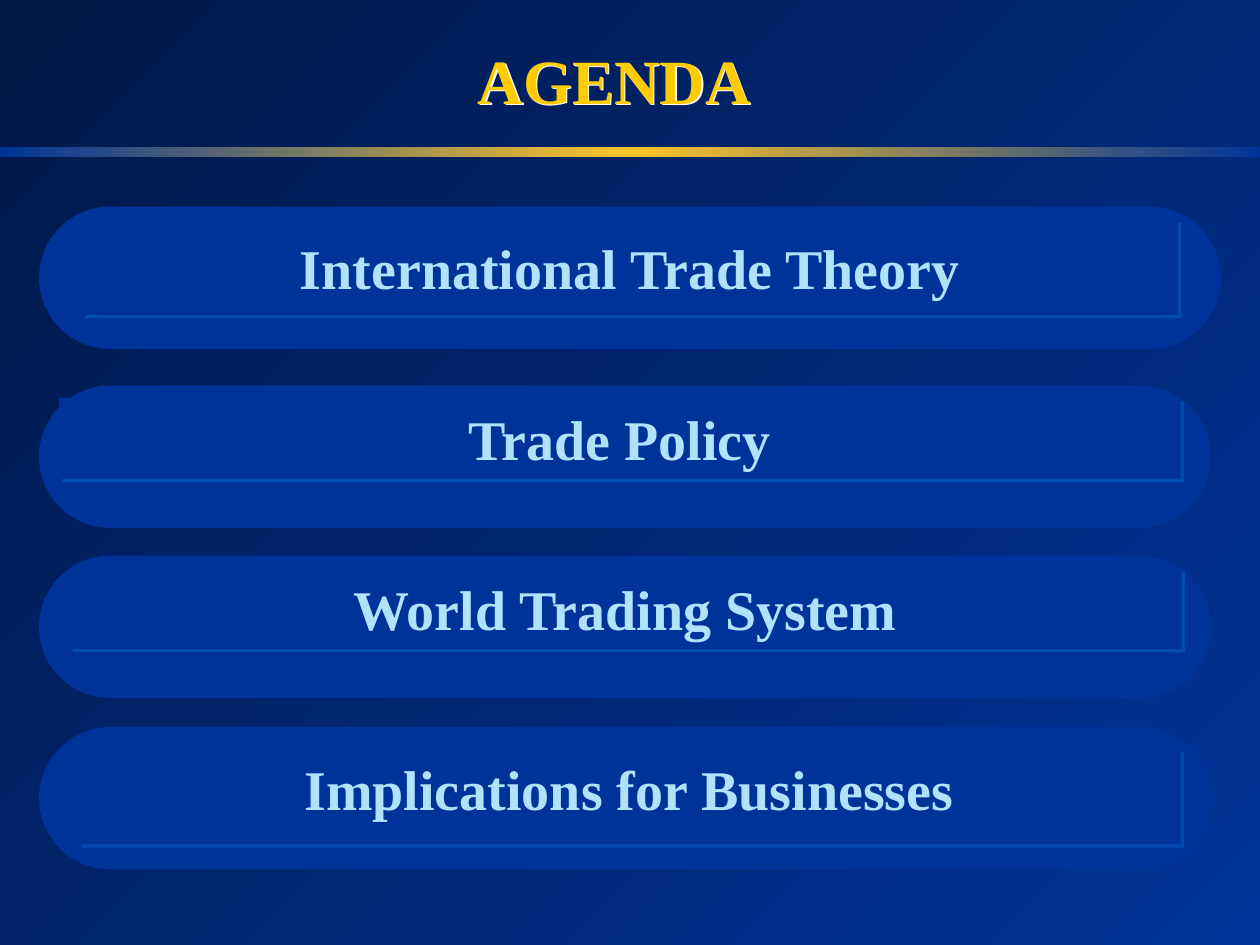
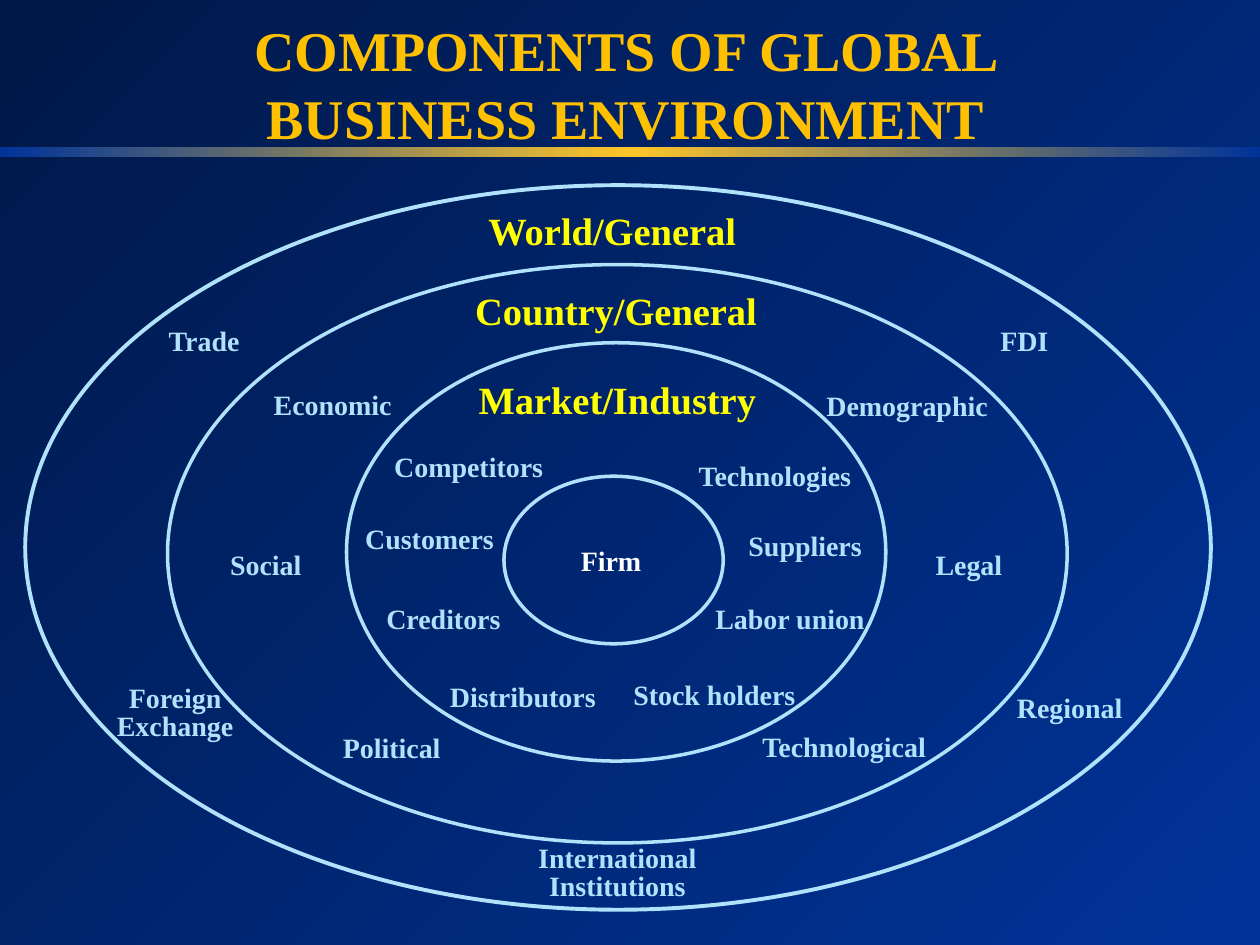
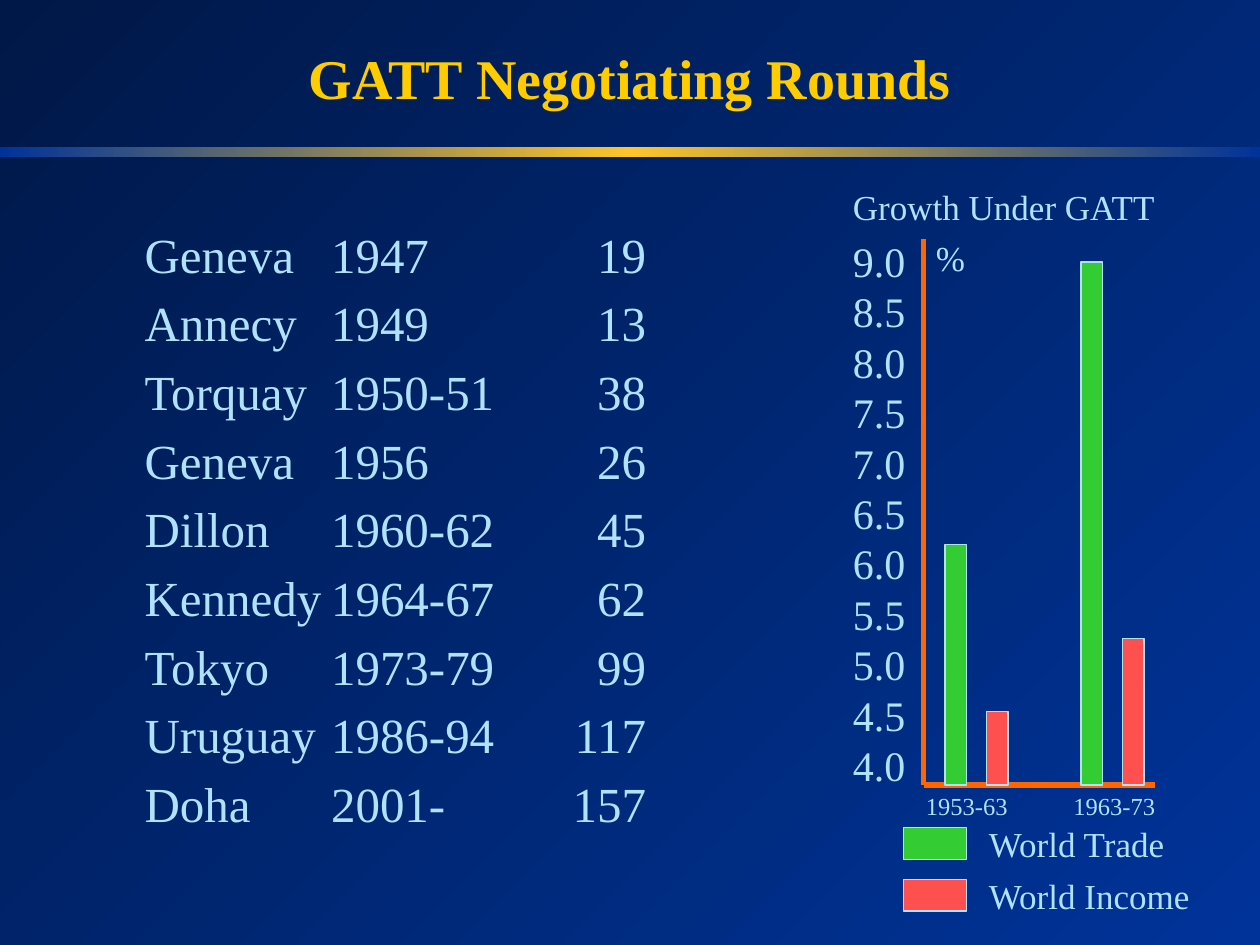
from copy import deepcopy
from dataclasses import dataclass

from lxml import etree
from pptx import Presentation
from pptx.dml.color import RGBColor
from pptx.enum.shapes import MSO_CONNECTOR, MSO_SHAPE
from pptx.enum.text import MSO_ANCHOR, PP_ALIGN
from pptx.oxml import parse_xml
from pptx.oxml.ns import nsdecls, qn
from pptx.util import Inches, Pt

LEFT, CENTER = PP_ALIGN.LEFT, PP_ALIGN.CENTER
TOP, MIDDLE = MSO_ANCHOR.TOP, MSO_ANCHOR.MIDDLE
RECTANGLE, PILL, OVAL = MSO_SHAPE.RECTANGLE, MSO_SHAPE.ROUNDED_RECTANGLE, MSO_SHAPE.OVAL
STRAIGHT = MSO_CONNECTOR.STRAIGHT


@dataclass(frozen=True)
class Theme:
    font: str = "Times New Roman"
    navy: str = "001847"
    blue: str = "003399"
    gold: str = "FDC529"
    title: str = "FFCC00"
    amber: str = "FFC000"
    pale: str = "B1E2FB"
    yellow: str = "FFFF00"
    white: str = "FFFFFF"
    shadow: str = "0066CC"
    axis: str = "FF6600"
    trade: str = "33CC33"
    income: str = "FF5050"
    heading_size: int = 36
    title_size: int = 32
    body_size: int = 28
    scale_size: int = 24
    ring_size: int = 22
    caption_size: int = 20
    label_size: int = 16
    period_size: int = 14


THEME = Theme()


def rgb(color):
    return RGBColor.from_string(color)


def add_shadow(shape, color, opacity, distance):
    properties = shape.element.spPr
    effects = properties.find(qn("a:effectLst"))
    if effects is None:
        effects = etree.SubElement(properties, qn("a:effectLst"))
    effects.append(parse_xml(
        f'<a:outerShdw {nsdecls("a")} blurRad="0" dist="{Pt(distance)}" dir="2700000" '
        f'algn="ctr" rotWithShape="0"><a:srgbClr val="{color}">'
        f'<a:alpha val="{opacity * 1000}"/></a:srgbClr></a:outerShdw>'))


def set_gradient(fill, element, angle, colors):
    fill.gradient()
    fill.gradient_angle = angle
    stop_list = element.find(".//" + qn("a:gsLst"))
    for _ in colors[2:]:
        stop_list.append(deepcopy(stop_list[0]))
    for index, (stop, color) in enumerate(zip(fill.gradient_stops, colors)):
        stop.color.rgb = rgb(color)
        stop.position = index / (len(colors) - 1)


def add_tabs(paragraph, tabs):
    tab_list = etree.SubElement(paragraph._p.get_or_add_pPr(), qn("a:tabLst"))
    for position, alignment in tabs:
        etree.SubElement(tab_list, qn("a:tab"), pos=str(Inches(position)), algn=alignment)


def write_text(shape, text, size=THEME.label_size, color=THEME.pale, bold=False,
               align=LEFT, anchor=TOP, gap=0, line_height=None, tabs=()):
    frame = shape.text_frame
    frame.word_wrap = True
    frame.vertical_anchor = anchor
    for index, line in enumerate(text.split("\n")):
        paragraph = frame.add_paragraph() if index else frame.paragraphs[0]
        if tabs:
            add_tabs(paragraph, tabs)
        paragraph.alignment = align
        if index:
            paragraph.space_before = Pt(gap)
        if line_height:
            paragraph.line_spacing = Pt(line_height)
        run = paragraph.add_run()
        run.text = line
        run.font.name = THEME.font
        run.font.size = Pt(size)
        run.font.bold = bold
        run.font.color.rgb = rgb(color)


class Deck:
    def __init__(self, theme):
        self.theme = theme
        self.presentation = Presentation()
        self.presentation.slide_width = Inches(10)
        self.presentation.slide_height = Inches(7.5)
        self.slide = None
        master = self.presentation.slide_master
        set_gradient(master.background.fill, master.element, 315, [theme.navy, theme.blue])

    def new_slide(self):
        theme = self.theme
        self.slide = self.presentation.slides.add_slide(self.presentation.slide_layouts[6])
        band = self.shape(RECTANGLE, 0, 1.17, 10, 0.08)
        set_gradient(band.fill, band.element, 0, [theme.blue, theme.gold, theme.blue])

    def shape(self, kind, left, top, width, height, fill=None, line=None, line_width=0.75):
        shape = self.slide.shapes.add_shape(
            kind, Inches(left), Inches(top), Inches(width), Inches(height))
        shape.shadow.inherit = False
        if fill:
            shape.fill.solid()
            shape.fill.fore_color.rgb = rgb(fill)
        else:
            shape.fill.background()
        if line:
            shape.line.color.rgb = rgb(line)
            shape.line.width = Pt(line_width)
        else:
            shape.line.fill.background()
        return shape

    def line(self, start_x, start_y, end_x, end_y, color, width):
        connector = self.slide.shapes.add_connector(
            STRAIGHT, Inches(start_x), Inches(start_y), Inches(end_x), Inches(end_y))
        connector.line.color.rgb = rgb(color)
        connector.line.width = Pt(width)
        etree.SubElement(connector.element.spPr, qn("a:effectLst"))

    def text(self, text, left, top, width, height, **style):
        box = self.slide.shapes.add_textbox(
            Inches(left), Inches(top), Inches(width), Inches(height))
        write_text(box, text, **style)
        return box

    def title(self, text, left, top, width, height, **style):
        style = {"size": self.theme.title_size, "color": self.theme.title,
                 "anchor": MIDDLE, **style}
        return self.text(text, left, top, width, height, bold=True, align=CENTER, **style)

    def label(self, text, center_x, center_y, **style):
        width, height = 3, 0.48
        self.text(text, center_x - width / 2, center_y - height / 2, width, height,
                  bold=True, align=CENTER, anchor=MIDDLE, **style)

    def agenda_item(self, text, pill, panel, anchor):
        theme = self.theme
        self.shape(PILL, *pill, fill=theme.blue).adjustments[0] = 0.5
        plate = self.shape(RECTANGLE, *panel, fill=theme.blue)
        add_shadow(plate, theme.shadow, 50, 2.8)
        write_text(plate, text, size=theme.title_size, bold=True, align=CENTER, anchor=anchor)


def build_agenda(deck):
    deck.new_slide()
    heading = deck.title("AGENDA", 3.35, 0.28, 3.05, 0.7, size=THEME.heading_size, anchor=TOP)
    add_shadow(heading, THEME.white, 100, 1.2)
    items = [
        ("International Trade Theory", 1.64, 9.38, (0.65, 1.74, 8.7, 0.76), MIDDLE),
        ("Trade Policy", 3.06, 9.3, (0.47, 3.16, 8.9, 0.64), MIDDLE),
        ("World Trading System", 4.41, 9.3, (0.55, 4.51, 8.83, 0.64), MIDDLE),
        ("Implications for Businesses", 5.77, 9.3, (0.62, 5.94, 8.75, 0.76), TOP),
    ]
    for text, top, width, panel, anchor in items:
        deck.agenda_item(text, (0.31, top, width, 1.13), panel, anchor)


def build_environment(deck):
    deck.new_slide()
    deck.title("COMPONENTS OF GLOBAL BUSINESS ENVIRONMENT", 0.84, 0.35, 8.25, 0.62,
               color=THEME.amber)
    rings = [
        (0.2, 1.47, 9.41, 5.75, 2.25),
        (1.33, 2.1, 7.14, 4.59, 2),
        (2.75, 2.72, 4.28, 3.32, 2),
        (4, 3.78, 1.74, 1.33, 2),
    ]
    for *place, line_width in rings:
        deck.shape(OVAL, *place, line=THEME.pale, line_width=line_width)
    ring_names = [
        ("World/General", 4.86, 1.83),
        ("Country/General", 4.89, 2.46),
        ("Market/Industry", 4.9, 3.17),
    ]
    for text, x, y in ring_names:
        deck.label(text, x, y, size=THEME.ring_size, color=THEME.yellow)
    deck.label("Firm", 4.85, 4.45, color=THEME.white)
    factors = [
        ("Trade", 1.62, 2.7), ("FDI", 8.13, 2.7), ("Regional", 8.49, 5.61),
        ("Economic", 2.64, 3.21), ("Demographic", 7.2, 3.22),
        ("Social", 2.11, 4.48), ("Legal", 7.69, 4.48),
        ("Political", 3.11, 5.93), ("Technological", 6.7, 5.92),
        ("Competitors", 3.72, 3.7), ("Technologies", 6.15, 3.77),
        ("Customers", 3.41, 4.27), ("Suppliers", 6.39, 4.33),
        ("Creditors", 3.52, 4.91), ("Labor union", 6.27, 4.91),
        ("Distributors", 4.15, 5.53), ("Stock holders", 5.67, 5.51),
    ]
    for text, x, y in factors:
        deck.label(text, x, y)
    for text, x, y in [("Foreign\nExchange", 1.39, 5.72),
                       ("International\nInstitutions", 4.9, 6.99)]:
        deck.label(text, x, y, gap=8, line_height=8)


def build_growth_chart(deck):
    axis_x, axis_top, axis_right, base = 7.33, 1.9, 9.17, 6.23
    lowest, inches_per_point, bar_width, bar_step = 4, 0.83, 0.17, 0.33
    caption = {"size": THEME.caption_size}
    deck.text("Growth Under GATT", 6.67, 1.42, 2.92, 0.43, **caption)
    deck.text("%", axis_x, 1.83, 0.5, 0.43, **caption)
    scale = " ".join(f"{9 - step / 2:.1f}" for step in range(11))
    deck.text(scale, 6.67, 1.82, 0.67, 4.54, size=THEME.scale_size)
    deck.line(axis_x, axis_top, axis_x, base, THEME.axis, 3)
    deck.line(axis_x, base, axis_right, base, THEME.axis, 3)

    periods = [("1953-63", 7.25, 7.5), ("1963-73", 8.42, 8.58)]
    series = [
        ("World Trade", (6.3, 9.0), THEME.trade),
        ("World Income", (4.7, 5.4), THEME.income),
    ]
    for period, label_left, _ in periods:
        deck.text(period, label_left, base, 1.08, 0.33, size=THEME.period_size)
    for index, (name, values, color) in enumerate(series):
        for value, (_, _, group_left) in zip(values, periods):
            height = (value - lowest) * inches_per_point
            deck.shape(RECTANGLE, group_left + index * bar_step, base - height,
                       bar_width, height, fill=color, line=THEME.pale)
        key_top = 6.57 + index * 0.41
        deck.shape(RECTANGLE, 7.17, key_top, 0.5, 0.25, fill=color, line=THEME.pale)
        deck.text(name, 7.75, key_top - 0.09, 2.2, 0.43, **caption)


def build_rounds(deck):
    deck.new_slide()
    deck.title("GATT Negotiating Rounds", 0, 0.07, 10, 1.08)
    rounds = [
        ("Geneva", "1947", "19"),
        ("Annecy", "1949", "13"),
        ("Torquay", "1950-51", "38"),
        ("Geneva", "1956", "26"),
        ("Dillon", "1960-62", "45"),
        ("Kennedy", "1964-67", "62"),
        ("Tokyo", "1973-79", "99"),
        ("Uruguay", "1986-94", "117"),
        ("Doha", "2001-", "157"),
    ]
    deck.text("\n".join("\t".join(row) for row in rounds), 1.05, 1.73, 5.5, 5.17,
              size=THEME.body_size, gap=5.6, tabs=[(1.48, "l"), (3.98, "r")])
    build_growth_chart(deck)


def main():
    deck = Deck(THEME)
    build_agenda(deck)
    build_environment(deck)
    build_rounds(deck)
    deck.presentation.save("out.pptx")


if __name__ == "__main__":
    main()
